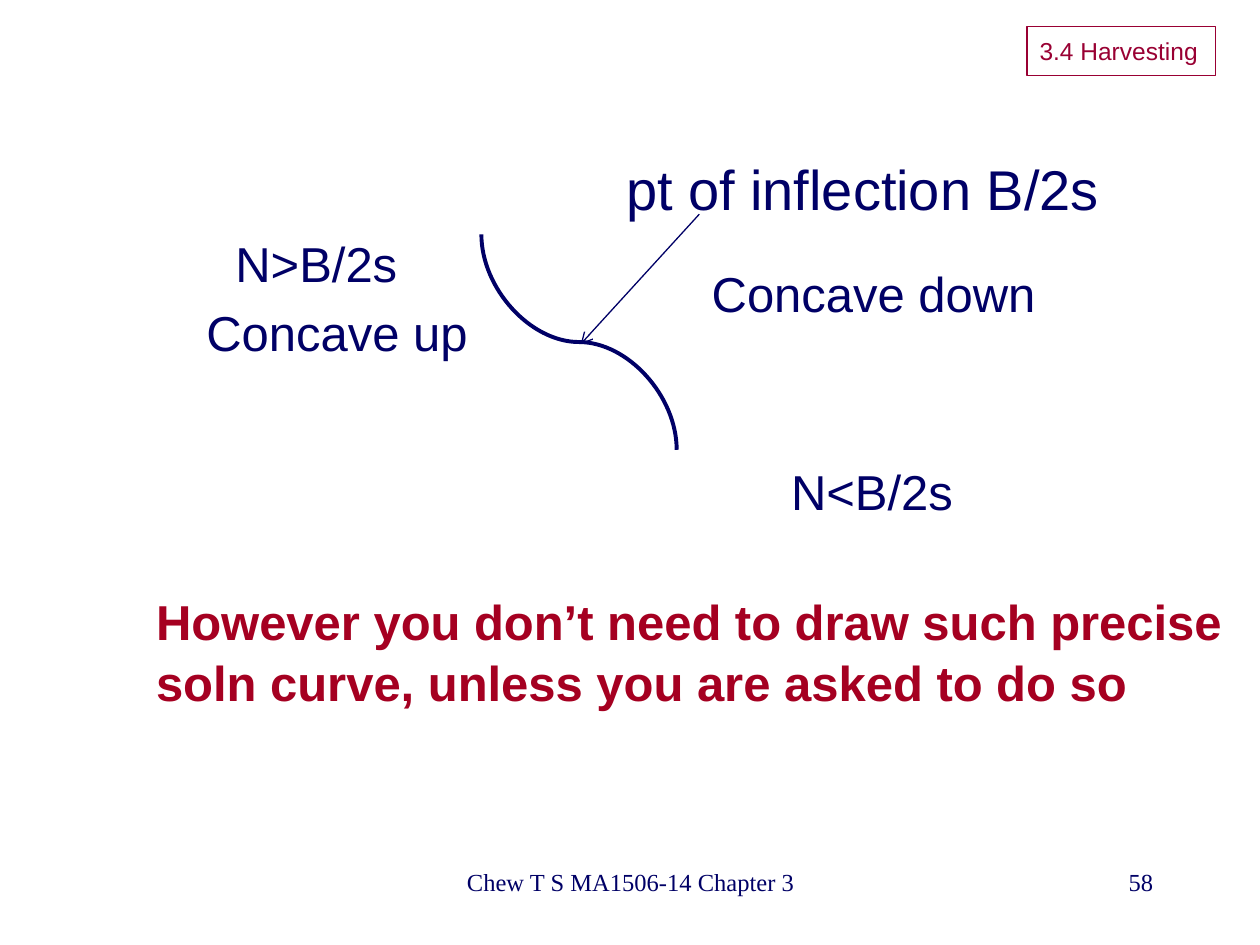
from lxml import etree
from pptx import Presentation
from pptx.dml.color import RGBColor
from pptx.enum import shapes, text
from pptx.oxml.ns import qn
from pptx.util import Inches, Pt

THEME = dict(navy=RGBColor.from_string("000066"), red=RGBColor.from_string("A50021"),
             plum=RGBColor.from_string("990033"), sans="Arial", serif="Times New Roman",
             small=14, label=28, large=32, leading=1.05, thin=0.75, thick=2.25)

prs = Presentation()
prs.slide_width, prs.slide_height = Inches(10), Inches(7.5)
s = prs.slides.add_slide(prs.slide_layouts[5])


def write(sp, lines, size, color="navy", font="sans", bold=False,
          align=text.PP_ALIGN.LEFT, leading=1.0):
    """Fill a shape with one paragraph per line."""
    tf = sp.text_frame
    for i, line in enumerate(lines):
        p = tf.paragraphs[0] if i == 0 else tf.add_paragraph()
        p.alignment, p.line_spacing = align, leading
        r = p.add_run()
        r.text = line
        r.font.name, r.font.size, r.font.bold = THEME[font], Pt(THEME[size]), bold
        r.font.color.rgb = THEME[color]
    return tf


def connect(kind, x1, y1, x2, y2, weight):
    """Draw a navy connector without a shadow."""
    c = s.shapes.add_connector(kind, Inches(x1), Inches(y1), Inches(x2), Inches(y2))
    c.line.color.rgb, c.line.width = THEME["navy"], Pt(THEME[weight])
    etree.SubElement(c._element.spPr, qn("a:effectLst"))
    return c


# Section title in a frame
sp = s.shapes.title
sp.left, sp.top, sp.width, sp.height = [Inches(v) for v in (8.15, 0.21, 1.5, 0.39)]
sp.line.color.rgb, sp.line.width = THEME["plum"], Pt(THEME["thin"])
tf = write(sp, ["3.4 Harvesting"], "small", "plum")
tf.vertical_anchor, tf.auto_size = text.MSO_ANCHOR.MIDDLE, text.MSO_AUTO_SIZE.NONE
tf.word_wrap = True

# Solution curve: an S-shaped connector turned on its side
curve = connect(shapes.MSO_CONNECTOR.CURVE, 3.74, 1.94, 5.45, 3.49, "thick")
xfrm = curve._element.spPr.find(qn("a:xfrm"))
xfrm.set("rot", str(270 * 60000))
xfrm.set("flipH", "1")

# Arrow to the point of inflection
arrow = connect(shapes.MSO_CONNECTOR.STRAIGHT, 5.55, 1.7, 4.61, 2.73, "thin")
etree.SubElement(arrow.line._get_or_add_ln(), qn("a:tailEnd"), type="arrow")

# Labels and conclusion
for lines, x, y, w, h, size, color, bold in [
    (["pt of inflection B/2s"], 4.87, 1.15, 3.99, 0.64, "large", "navy", False),
    (["N>B/2s"], 1.77, 1.78, 1.5, 0.57, "label", "navy", False),
    (["Concave up"], 1.54, 2.33, 2.3, 0.57, "label", "navy", False),
    (["Concave down"], 5.55, 2.02, 2.81, 0.57, "label", "navy", False),
    (["N<B/2s"], 6.18, 3.59, 1.5, 0.57, "label", "navy", False),
    (["However you don’t need to draw such precise",
      "soln curve, unless you are asked to do so"],
     1.14, 4.62, 8.87, 1.04, "label", "red", True),
]:
    sp = s.shapes.add_textbox(Inches(x), Inches(y), Inches(w), Inches(h))
    tf = write(sp, lines, size, color, bold=bold, leading=THEME["leading"])
    tf.word_wrap, tf.auto_size = False, text.MSO_AUTO_SIZE.SHAPE_TO_FIT_TEXT

# Footer and page number
for line, x, w, align in [
    ("Chew T S MA1506-14 Chapter 3", 3.42, 3.17, text.PP_ALIGN.CENTER),
    ("58", 7.17, 2.08, text.PP_ALIGN.RIGHT),
]:
    sp = s.shapes.add_textbox(Inches(x), Inches(6.83), Inches(w), Inches(0.5))
    write(sp, [line], "small", font="serif", align=align).word_wrap = True

prs.save("out.pptx")
